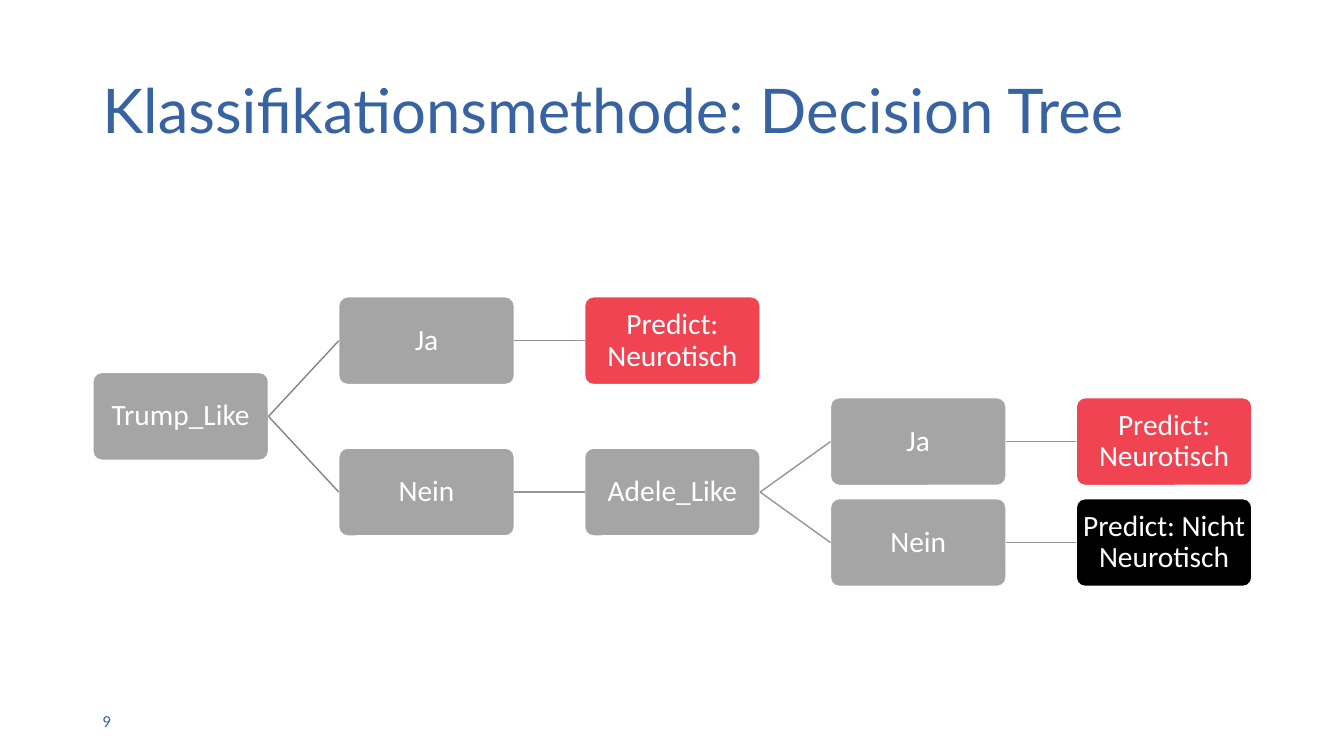
from dataclasses import dataclass
from typing import Optional

from lxml.etree import SubElement
from pptx import Presentation
from pptx.dml.color import RGBColor
from pptx.enum.shapes import MSO_CONNECTOR, MSO_SHAPE
from pptx.enum.text import MSO_ANCHOR, MSO_AUTO_SIZE, PP_ALIGN
from pptx.oxml.ns import qn
from pptx.shapes.autoshape import Shape
from pptx.slide import Slide
from pptx.text.text import TextFrame
from pptx.util import Pt

COLORS = {
    "blue": "3863A2",
    "gray": "A5A5A5",
    "red": "F04452",
    "black": "000000",
    "white": "FFFFFF",
    "dark": "848484",
    "mid": "969696",
}
LEFT, TOP = 66.4, 212
STEP, ROW = 175.6, 72.1
WIDTH, HEIGHT = 125.4, 62.7


@dataclass(frozen=True)
class Node:
    text: str
    col: int
    row: float
    fill: str = "gray"
    root: Optional[int] = None
    line: str = "mid"


TREE = [
    Node("Trump_Like", 0, 0.75),
    Node("Ja", 1, 0, root=0, line="dark"),
    Node("Predict: Neurotisch", 2, 0, "red", root=1),
    Node("Nein", 1, 1.5, root=0, line="dark"),
    Node("Adele_Like", 2, 1.5, root=3),
    Node("Ja", 3, 1, root=4),
    Node("Predict: Neurotisch", 4, 1, "red", root=5),
    Node("Nein", 3, 2, root=4),
    Node("Predict: Nicht Neurotisch", 4, 2, "black", root=7),
]


def color(name: str) -> RGBColor:
    return RGBColor.from_string(COLORS[name])


def write(frame: TextFrame, text: str, *, size: float, font: str = "Calibri",
          ink: str = "white", align: PP_ALIGN = PP_ALIGN.LEFT,
          space: float = 1.0, inset: Optional[float] = None) -> None:
    frame.word_wrap = True
    frame.auto_size = MSO_AUTO_SIZE.NONE
    frame.vertical_anchor = MSO_ANCHOR.MIDDLE
    if inset is not None:
        frame.margin_left = frame.margin_right = Pt(inset)
        frame.margin_top = frame.margin_bottom = Pt(inset)
    para = frame.paragraphs[0]
    para.alignment = align
    para.line_spacing = space
    run = para.add_run()
    run.text = text
    run.font.name = font
    run.font.size = Pt(size)
    run.font.color.rgb = color(ink)


def draw_node(slide: Slide, node: Node) -> Shape:
    box = slide.shapes.add_shape(
        MSO_SHAPE.ROUNDED_RECTANGLE,
        Pt(LEFT + node.col * STEP), Pt(TOP + node.row * ROW),
        Pt(WIDTH), Pt(HEIGHT))
    box.adjustments[0] = 0.1
    box.shadow.inherit = False
    box.fill.solid()
    box.fill.fore_color.rgb = color(node.fill)
    box.line.color.rgb = color("white")
    box.line.width = Pt(1)
    write(box.text_frame, node.text, size=21, align=PP_ALIGN.CENTER,
          space=0.9, inset=0.7)
    return box


def link(slide: Slide, start: Shape, end: Shape, ink: str) -> None:
    edge = slide.shapes.add_connector(MSO_CONNECTOR.STRAIGHT, 0, 0, 0, 0)
    edge.begin_connect(start, 3)
    edge.end_connect(end, 1)
    edge.line.color.rgb = color(ink)
    edge.line.width = Pt(1)
    SubElement(edge.element.spPr, qn("a:effectLst"))


def main() -> None:
    deck = Presentation()
    deck.slide_width, deck.slide_height = Pt(960), Pt(540)
    slide = deck.slides.add_slide(deck.slide_layouts[5])

    title = slide.shapes.title
    title.left, title.top = Pt(66), Pt(28.75)
    title.width, title.height = Pt(828), Pt(104.4)
    write(title.text_frame, "Klassifikationsmethode: Decision Tree",
          size=44, font="Lato", ink="blue", space=0.9)

    boxes = [draw_node(slide, node) for node in TREE]
    for node, box in zip(TREE, boxes):
        if node.root is not None:
            link(slide, boxes[node.root], box, node.line)

    page = slide.shapes.add_textbox(Pt(66), Pt(500.5), Pt(216), Pt(28.75))
    write(page.text_frame, "9", size=12, ink="blue")
    deck.save("out.pptx")


if __name__ == "__main__":
    main()
